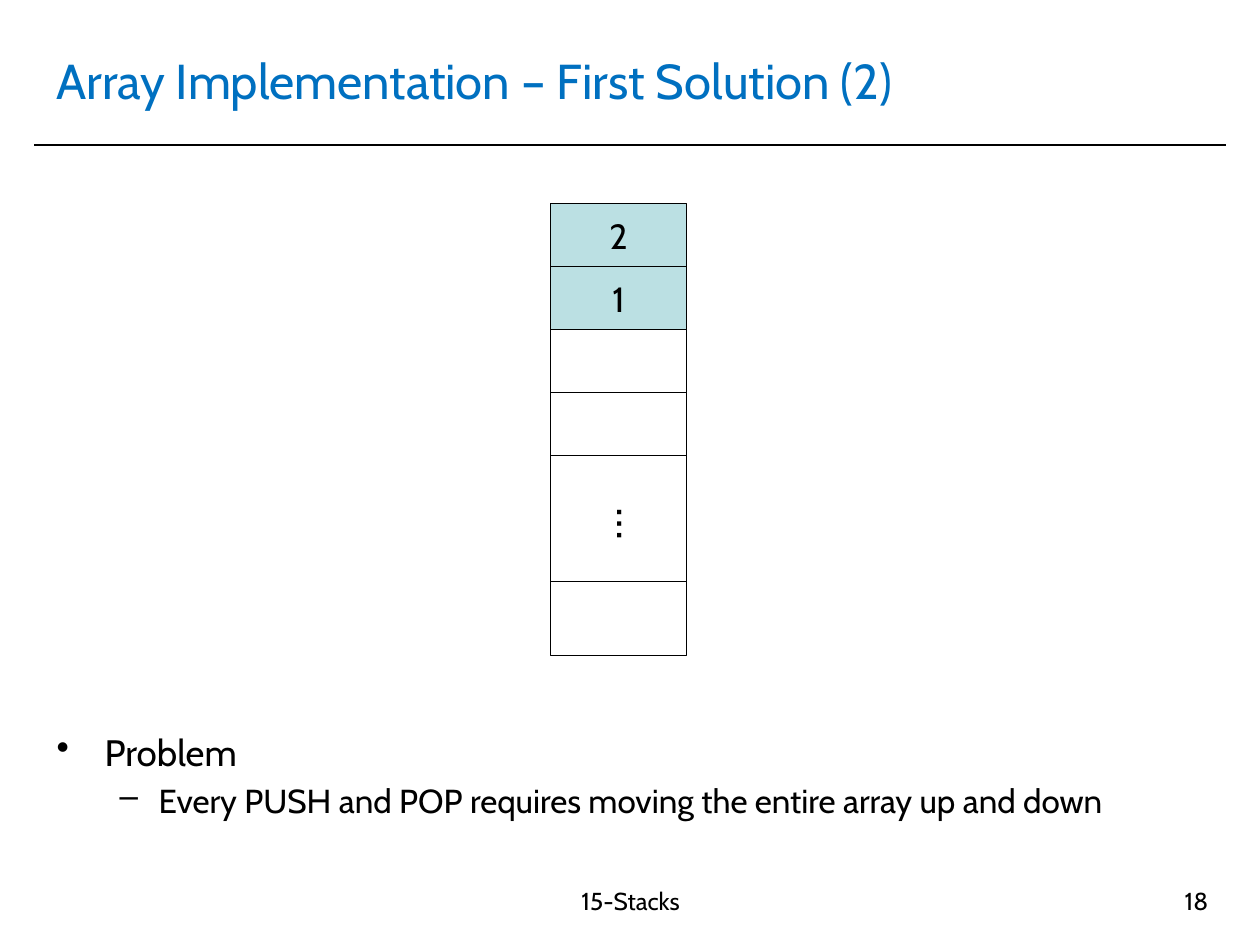
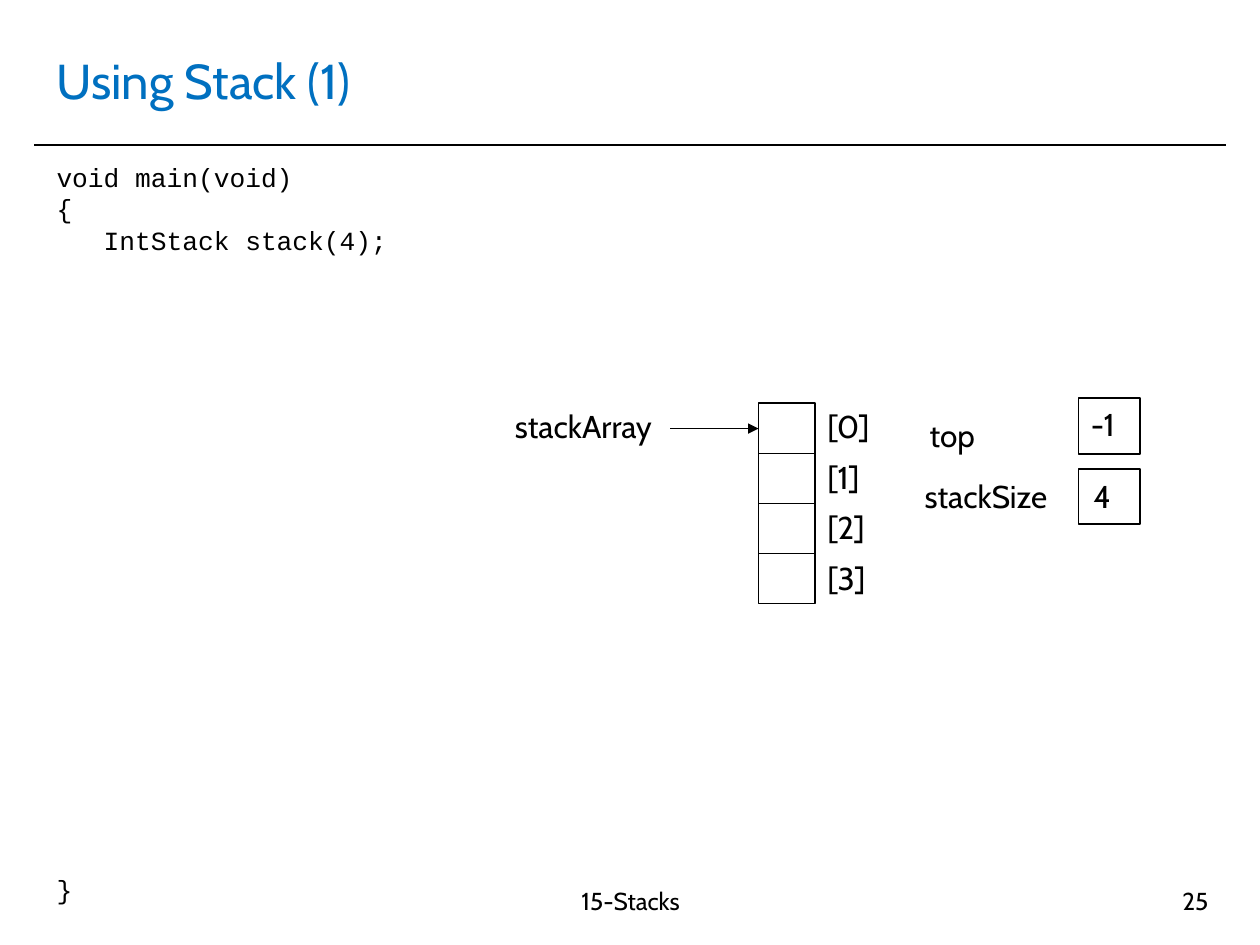
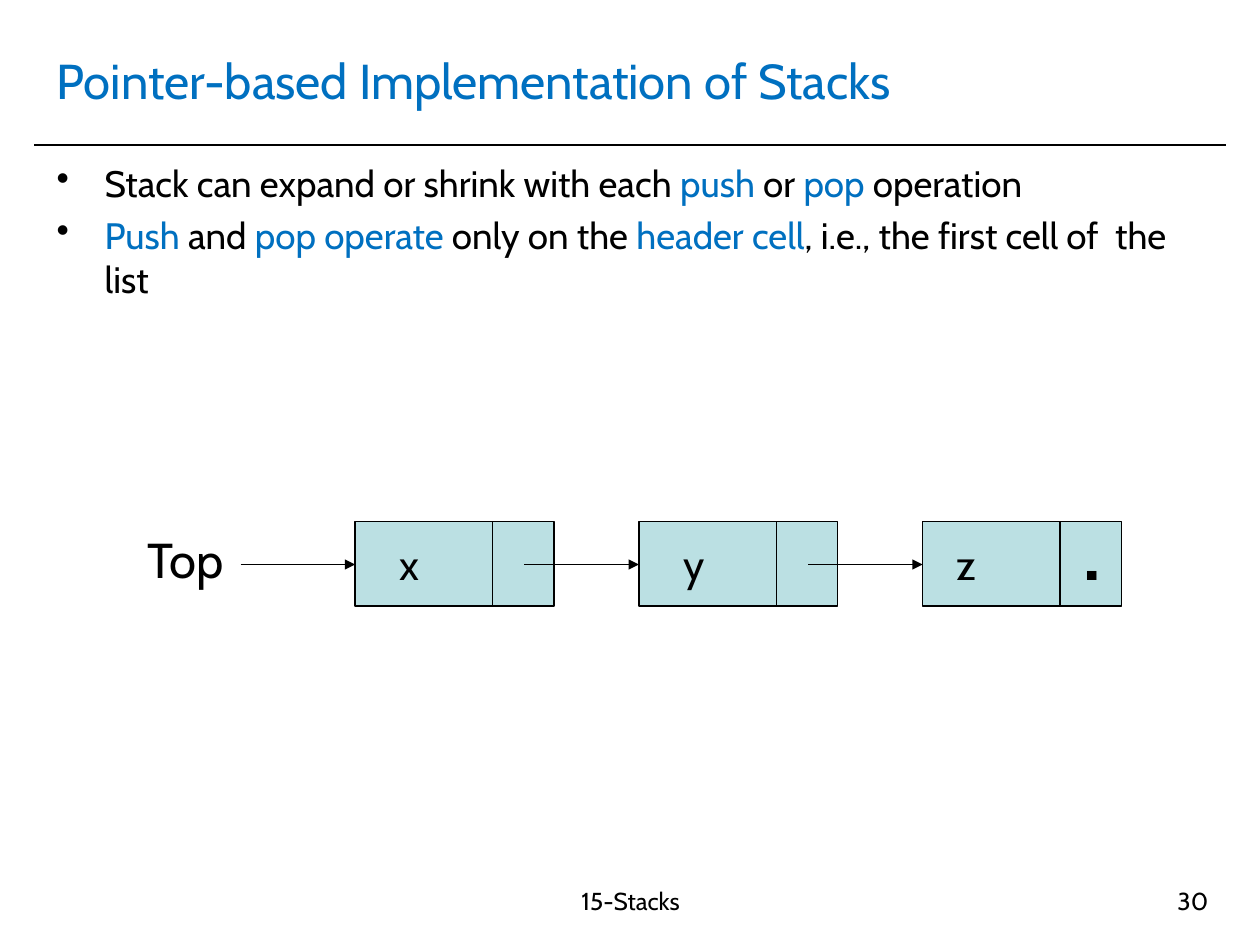
"""Builds three lecture slides about stacks."""
from dataclasses import dataclass
from typing import NamedTuple

from lxml.etree import SubElement
from pptx import Presentation
from pptx.dml.color import RGBColor
from pptx.enum.shapes import MSO_CONNECTOR, MSO_SHAPE
from pptx.enum.text import MSO_ANCHOR, PP_ALIGN
from pptx.oxml.ns import qn
from pptx.shapes.autoshape import Shape
from pptx.slide import Slide
from pptx.text.text import _Paragraph as Paragraph
from pptx.util import Cm, Pt


@dataclass(frozen=True)
class Theme:
    """Colours, fonts, type sizes and line widths of the deck."""

    ink: str = "000000"
    accent: str = "0070C0"
    cell: str = "BBE0E3"
    font: str = "Cabin"
    code_font: str = "Courier New"
    title: int = 28
    bullet: int = 21
    dash: int = 19
    code: int = 15
    footer: int = 14
    label: int = 18
    value: int = 20
    node: int = 24
    pointer: int = 28
    dot: int = 60
    thin: float = 0.75
    rule: float = 1


class Box(NamedTuple):
    """A frame in centimetres."""

    left: float
    top: float
    width: float
    height: float


class Span(NamedTuple):
    """A stretch of text in one colour."""

    text: str
    color: str


class Level(NamedTuple):
    """Marker, size and indents of a list level."""

    marker: str
    size: int
    margin: float
    hanging: float


class Item(NamedTuple):
    """A list paragraph and its level."""

    spans: list[Span]
    level: int = 0


class Label(NamedTuple):
    """A caption and its frame."""

    text: str
    box: Box


class Cell(NamedTuple):
    """An array cell with its height, fill and value."""

    height: float
    fill: str | None = None
    value: str = ""


class Node(NamedTuple):
    """A list node with its value and the value's offset."""

    value: str
    offset: float


THEME = Theme()
TITLE = Box(0.89, 0.53, 23.6, 2.16)
BODY = Box(0.89, 3.12, 23.6, 14.2)
FOOTER = Box(8.51, 17.73, 8.41, 1.32)
NUMBER = Box(18.69, 17.73, 5.92, 1.32)
LEVELS = (
    Level("•", THEME.bullet, 0.97, 0.97),
    Level("–", THEME.dash, 2.06, 0.79),
)


def style(para: Paragraph, size: int, color: str | None = THEME.ink, font: str = THEME.font) -> None:
    """Set the font of a whole paragraph."""
    para.font.name = font
    para.font.size = Pt(size)
    if color:
        para.font.color.rgb = RGBColor.from_string(color)


def add_frame(page: Slide, box: Box) -> Shape:
    """Add an empty wrapping text box."""
    frame = page.shapes.add_textbox(*map(Cm, box))
    frame.text_frame.word_wrap = True
    return frame


def add_text(page: Slide, text: str, box: Box, size: int, color: str = THEME.ink,
             align: PP_ALIGN = PP_ALIGN.LEFT) -> Shape:
    """Add a text box with one paragraph."""
    frame = add_frame(page, box)
    para = frame.text_frame.paragraphs[0]
    para.text = text
    para.alignment = align
    style(para, size, color)
    return frame


def add_rect(page: Slide, box: Box, width: float, fill: str | None = None, text: str = "") -> None:
    """Add an outlined rectangle, with a centred value if given."""
    rect = page.shapes.add_shape(MSO_SHAPE.RECTANGLE, *map(Cm, box))
    rect.shadow.inherit = False
    rect.line.color.rgb = RGBColor.from_string(THEME.ink)
    rect.line.width = Pt(width)
    if fill:
        rect.fill.solid()
        rect.fill.fore_color.rgb = RGBColor.from_string(fill)
    else:
        rect.fill.background()
    if text:
        rect.text_frame.vertical_anchor = MSO_ANCHOR.MIDDLE
        para = rect.text_frame.paragraphs[0]
        para.text = text
        para.alignment = PP_ALIGN.CENTER
        style(para, THEME.value)


def add_line(page: Slide, start: tuple[float, float], end: tuple[float, float], width: float,
             arrow: bool = False) -> None:
    """Add a straight line, with an arrowhead at its end if asked."""
    line = page.shapes.add_connector(MSO_CONNECTOR.STRAIGHT, *map(Cm, start + end))
    line.line.color.rgb = RGBColor.from_string(THEME.ink)
    line.line.width = Pt(width)
    if arrow:
        SubElement(line.line._get_or_add_ln(), qn("a:tailEnd"), type="triangle")
    SubElement(line._element.spPr, qn("a:effectLst"))


def add_list(page: Slide, items: list[Item]) -> Shape:
    """Fill the body area with a marked list."""
    frame = add_frame(page, BODY)
    for index, item in enumerate(items):
        level = LEVELS[item.level]
        para = frame.text_frame.paragraphs[0] if index == 0 else frame.text_frame.add_paragraph()
        para.level = item.level
        if index:
            para.space_before = Pt(level.size * 0.2)
        properties = para._p.get_or_add_pPr()
        properties.set("marL", str(Cm(level.margin)))
        properties.set("indent", str(-Cm(level.hanging)))
        marker_color = SubElement(properties, qn("a:buClr"))
        SubElement(marker_color, qn("a:srgbClr"), val=THEME.ink)
        SubElement(properties, qn("a:buChar"), char=level.marker)
        colors = {span.color for span in item.spans}
        style(para, level.size, colors.pop() if len(colors) == 1 else None)
        for span in item.spans:
            run = para.add_run()
            run.text = span.text
            if colors:
                run.font.color.rgb = RGBColor.from_string(span.color)
    return frame


def add_page(deck: Presentation, title: str, number: int) -> Slide:
    """Add a slide with the shared title, rule and footer."""
    page = deck.slides.add_slide(deck.slide_layouts[6])
    add_line(page, (0.69, 2.92), (24.71, 2.92), THEME.rule)
    heading = add_text(page, title, TITLE, THEME.title, THEME.accent)
    heading.text_frame.vertical_anchor = MSO_ANCHOR.MIDDLE
    add_text(page, "15-Stacks", FOOTER, THEME.footer, align=PP_ALIGN.CENTER)
    add_text(page, str(number), NUMBER, THEME.footer, align=PP_ALIGN.RIGHT)
    return page


def build_first_solution(deck: Presentation) -> None:
    """Show the array that keeps its top element first."""
    page = add_page(deck, "Array Implementation – First Solution (2)", 18)
    problem = add_list(page, [
        Item([Span("Problem", THEME.ink)]),
        Item([Span("Every PUSH and POP requires moving the entire array up and down", THEME.ink)], 1),
    ])
    problem.text_frame.vertical_anchor = MSO_ANCHOR.BOTTOM
    problem.text_frame.margin_bottom = Cm(0.79)
    cells = [Cell(1.27, THEME.cell, "2"), Cell(1.27, THEME.cell, "1"), Cell(1.27), Cell(1.27),
             Cell(2.54), Cell(1.48)]
    top = 4.11
    for cell in cells:
        add_rect(page, Box(11.1, top, 2.74, cell.height), THEME.thin, cell.fill, cell.value)
        top += cell.height
    ellipsis = add_text(page, "…", Box(11.63, 9.83, 2.39, 1.45), THEME.pointer, align=PP_ALIGN.CENTER)
    ellipsis.rotation = 90


def build_using_stack(deck: Presentation) -> None:
    """Show the code and the members of a new stack."""
    page = add_page(deck, "Using Stack (1)", 25)
    code = add_frame(page, BODY).text_frame
    opening, closing = code.paragraphs[0], code.add_paragraph()
    opening.text = "void main(void)\v{\v   IntStack stack(4);"
    closing.text = "}"
    closing.space_before = Pt(353)
    for para in (opening, closing):
        style(para, THEME.code, font=THEME.code_font)

    left, top, width, row, rows = 15.29, 8.13, 1.14, 1.01, 4
    add_rect(page, Box(left, top, width, row * rows), THEME.rule)
    for index in range(1, rows):
        y = top + index * row
        add_line(page, (left, y), (left + width, y), THEME.rule)
    add_line(page, (13.51, 8.64), (left, 8.64), THEME.rule, arrow=True)
    for y in (8.03, 9.45):
        add_rect(page, Box(21.74, y, 1.24, 1.12), THEME.rule)

    labels = [Label(f"[{index}]", Box(16.43, 8.08 + 1.02 * index, 1.8, 1.02)) for index in range(rows)]
    labels += [
        Label("stackArray", Box(10.13, 8.08, 3.81, 1.02)),
        Label("top", Box(18.49, 8.26, 1.93, 1.02)),
        Label("stackSize", Box(18.39, 9.5, 3.78, 1.02)),
        Label("-1", Box(21.74, 8.05, 1.4, 1.02)),
        Label("4", Box(21.79, 9.5, 1.4, 1.02)),
    ]
    for label in labels:
        add_text(page, label.text, label.box, THEME.label)


def build_pointer_stack(deck: Presentation) -> None:
    """Show the stack as a linked list."""
    page = add_page(deck, "Pointer-based Implementation of Stacks", 30)
    ink, accent = THEME.ink, THEME.accent
    add_list(page, [
        Item([Span("Stack can expand or shrink with each ", ink), Span("push", accent),
              Span(" or ", ink), Span("pop", accent), Span(" operation", ink)]),
        Item([Span("Push", accent), Span(" and ", ink), Span("pop operate", accent),
              Span(" only on the ", ink), Span("header cell", accent),
              Span(", i.e., the first cell of  the list", ink)]),
    ])
    top, height, middle = 10.52, 1.7, 11.38
    for index, node in enumerate([Node("x", 0.64), Node("y", 0.64), Node("z", 0.43)]):
        left = 7.16 + 5.72 * index
        divider = left + 2.77
        add_rect(page, Box(left, top, 4.01, height), THEME.thin, THEME.cell)
        add_line(page, (divider, top), (divider, top + height), THEME.thin)
        add_line(page, (left - 2.31, middle), (left, middle), THEME.thin, arrow=True)
        add_text(page, node.value, Box(left + node.offset, 10.74, 1.27, 1.27), THEME.node)
    add_text(page, ".", Box(21.56, 9.47, 0.84, 2.79), THEME.dot)
    add_text(page, "Top", Box(2.72, 10.54, 2.54, 1.45), THEME.pointer)


def main() -> None:
    """Build and save the deck."""
    deck = Presentation()
    deck.slide_width, deck.slide_height = Cm(25.4), Cm(19.05)
    build_first_solution(deck)
    build_using_stack(deck)
    build_pointer_stack(deck)
    deck.save("out.pptx")


if __name__ == "__main__":
    main()
